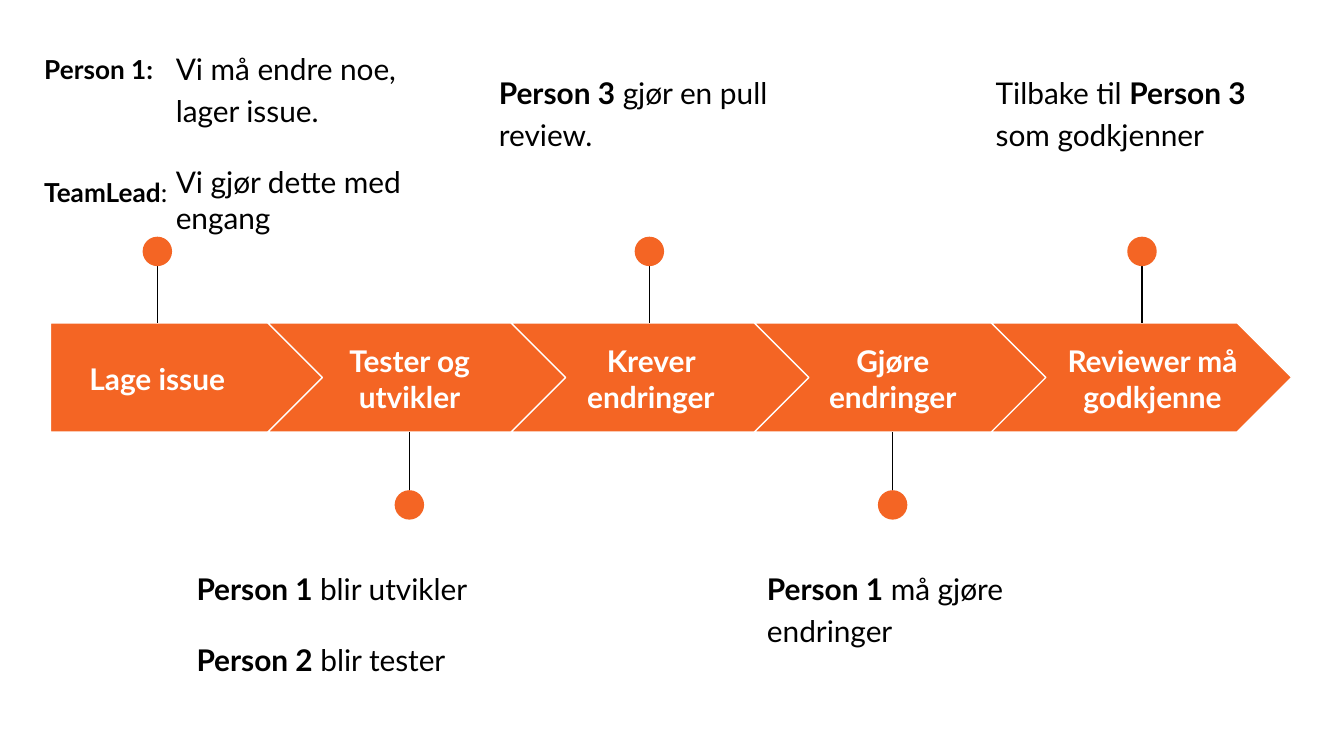
from lxml.etree import SubElement
from pptx import Presentation
from pptx.dml.color import RGBColor
from pptx.enum.shapes import MSO_CONNECTOR as Connector, MSO_SHAPE as Shape
from pptx.enum.text import MSO_ANCHOR as Anchor, PP_ALIGN as Align
from pptx.oxml.ns import qn
from pptx.util import Pt

ORANGE, WHITE, BLACK = "F46524", "FFFFFF", "000000"


def color(value):
    return RGBColor.from_string(value)


def add_text(box, paragraphs, size=16, ink=BLACK, anchor=Anchor.TOP,
             align=Align.LEFT, spacing=(1.15, 1.15), gap=0):
    frame = slide.shapes.add_textbox(*[Pt(v) for v in box]).text_frame
    frame.word_wrap = True
    frame.vertical_anchor = anchor
    frame.margin_left = frame.margin_right = Pt(7.2)
    frame.margin_top = frame.margin_bottom = Pt(7.2)
    for i, parts in enumerate(paragraphs):
        paragraph = frame.add_paragraph() if i else frame.paragraphs[0]
        paragraph.alignment = align
        paragraph.line_spacing = spacing[i]
        if i:
            paragraph.space_before = Pt(gap)
        for words, bold in parts:
            run = paragraph.add_run()
            run.text = words
            run.font.name = "Lato"
            run.font.size = Pt(size)
            run.font.bold = bold
            run.font.color.rgb = color(ink)


prs = Presentation()
prs.slide_width, prs.slide_height = Pt(720), Pt(405)
slide = prs.slides.add_slide(prs.slide_layouts[6])

BAND_TOP, BAND_HEIGHT = 173, 58.5
BAND_BOTTOM = BAND_TOP + BAND_HEIGHT
DOT, STEM = 15.8, 44
LABEL_TOP, LABEL_HEIGHT = 184.3, 36.7
NOTE_WIDTH, NOTE_HEIGHT = 176.4, 71.3
UPPER_NOTE, LOWER_NOTE = 30.2, 295.9

steps = [
    ("Lage issue", 27, 147.6, 27, 114.5, 84.3, True,
     (87.1, 23.8, 136.8, 103),
     [[("Vi må endre noe, lager issue.", False)],
      [("Vi gjør dette med engang", False)]],
     dict(anchor=Anchor.MIDDLE, spacing=(1.15, 1), gap=19.2)),
    ("Tester og utvikler", 143.5, 161, 167.6, 103.7, 219.3, False,
     (98.2, LOWER_NOTE, NOTE_WIDTH, NOTE_HEIGHT),
     [[("Person 1 ", True), ("blir utvikler", False)],
      [("Person 2", True), (" blir tester", False)]],
     dict(gap=16)),
    ("Krever endringer", 273.8, 161, 296.9, 103.7, 347.9, True,
     (260.2, UPPER_NOTE, NOTE_WIDTH, NOTE_HEIGHT),
     [[("Person 3", True), (" gjør en pull review.", False)]], {}),
    ("Gjøre endringer", 404.1, 161, 426.5, 103.7, 478.2, False,
     (403.8, LOWER_NOTE, NOTE_WIDTH, NOTE_HEIGHT),
     [[("Person 1", True), (" må gjøre endringer", False)]], {}),
    ("Reviewer må godkjenne", 531, 161, 560.2, 114.5, 611.8, True,
     (526.3, UPPER_NOTE, NOTE_WIDTH, NOTE_HEIGHT),
     [[("Tilbake til ", False), ("Person 3 ", True), ("som godkjenner", False)]], {}),
]

for (label, left, width, label_left, label_width, pin, above,
     note_box, note, note_style) in steps:
    outline = Shape.PENTAGON if label == steps[0][0] else Shape.CHEVRON
    arrow = slide.shapes.add_shape(outline, Pt(left), Pt(BAND_TOP), Pt(width), Pt(BAND_HEIGHT))
    arrow.adjustments[0] = 0.5
    arrow.shadow.inherit = False
    arrow.fill.solid()
    arrow.fill.fore_color.rgb = color(ORANGE)
    arrow.line.color.rgb = color(WHITE)
    arrow.line.width = Pt(0.75)
    add_text((label_left, LABEL_TOP, label_width, LABEL_HEIGHT), [[(label, True)]],
             ink=WHITE, anchor=Anchor.MIDDLE, align=Align.CENTER, spacing=(1,))

    base = BAND_TOP if above else BAND_BOTTOM
    tip = base - STEM if above else base + STEM
    dot_top = 126.8 if above else 262.6
    stem = slide.shapes.add_connector(Connector.STRAIGHT, Pt(pin), Pt(tip), Pt(pin), Pt(base))
    stem.line.color.rgb = color(BLACK)
    stem.line.width = Pt(0.75)
    SubElement(stem._element.spPr, qn("a:effectLst"))
    dot = slide.shapes.add_shape(Shape.OVAL, Pt(pin - DOT / 2), Pt(dot_top), Pt(DOT), Pt(DOT))
    dot.shadow.inherit = False
    dot.fill.solid()
    dot.fill.fore_color.rgb = color(ORANGE)
    dot.line.fill.background()
    add_text(note_box, note, **note_style)

add_text((16.6, 0, 95, 71.3), [[("Person 1:", True)]], size=14, anchor=Anchor.MIDDLE)
add_text((16.6, 87.1, 95, 43.9), [[("TeamLead", True), (":", False)]], size=14, spacing=(1,))

prs.save("out.pptx")
